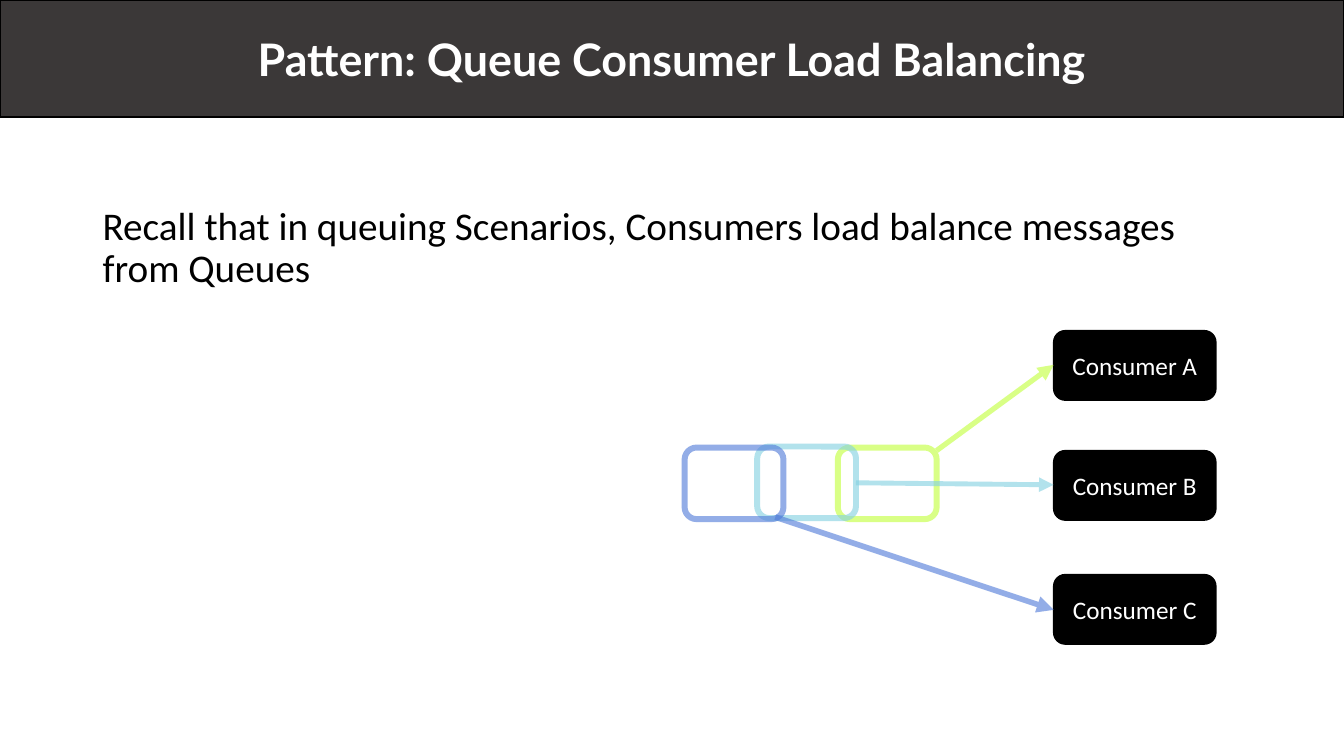
"""Build a slide on load balancing between the consumers of a queue."""
from dataclasses import dataclass

import pptx
import pptx.dml.color
import pptx.enum.shapes
import pptx.enum.text
import pptx.oxml
import pptx.oxml.ns
import pptx.util
from pptx.util import Inches


@dataclass(frozen=True)
class Theme:
    black: str = "000000"
    white: str = "FFFFFF"
    banner: str = "3B3838"
    lime: str = "C2FF3D"
    aqua: str = "84D1E1"
    blue: str = "527CD9"
    opacity: int = 62000
    title_font: str = "Lato"
    body_font: str = "Calibri"
    title_size: int = 32
    body_size: int = 28
    label_size: int = 18


def write(box, text, size, font, color, bold=False):
    para = box.text_frame.paragraphs[0]
    span = para.add_run()
    span.text = text
    span.font.size = pptx.util.Pt(size)
    span.font.name = font
    span.font.bold = bold
    span.font.color.rgb = pptx.dml.color.RGBColor.from_string(color)
    return para


def outline(item, color, width, opacity=None):
    item.line.color.rgb = pptx.dml.color.RGBColor.from_string(color)
    item.line.width = pptx.util.Pt(width)
    if opacity:
        fill_color = item.line._get_or_add_ln().find(".//" + pptx.oxml.ns.qn("a:srgbClr"))
        pptx.oxml.ns.qn("a:alpha")
        alpha = pptx.oxml.parse_xml(f'<a:alpha {pptx.oxml.ns.nsdecls("a")} val="{opacity}"/>')
        fill_color.append(alpha)


theme = Theme()
rounded = pptx.enum.shapes.MSO_SHAPE.ROUNDED_RECTANGLE
center = pptx.enum.text.PP_ALIGN.CENTER
middle = pptx.enum.text.MSO_ANCHOR.MIDDLE

deck = pptx.Presentation()
deck.slide_width = Inches(13.33)
deck.slide_height = Inches(7.5)
page = deck.slides.add_slide(deck.slide_layouts[5])

title = page.shapes.title
title.left, title.top = Inches(0), Inches(0)
title.width, title.height = deck.slide_width, Inches(1.16)
title.fill.solid()
title.fill.fore_color.rgb = pptx.dml.color.RGBColor.from_string(theme.banner)
outline(title, theme.black, 1)
title.text_frame.vertical_anchor = middle
write(title, "Pattern: Queue Consumer Load Balancing", theme.title_size,
      theme.title_font, theme.white, bold=True).alignment = center

body = page.shapes.add_textbox(Inches(0.92), Inches(2), Inches(11.5), Inches(4.76))
body.text_frame.word_wrap = True
write(body, "Recall that in queuing Scenarios, Consumers load balance messages from Queues",
      theme.body_size, theme.body_font, theme.black).line_spacing = 0.9

for name, top in (("Consumer A", 3.28), ("Consumer B", 4.47), ("Consumer C", 5.7)):
    consumer = page.shapes.add_shape(rounded, Inches(10.45), Inches(top), Inches(1.61), Inches(0.69))
    consumer.shadow.inherit = False
    consumer.fill.solid()
    consumer.fill.fore_color.rgb = pptx.dml.color.RGBColor.from_string(theme.black)
    outline(consumer, theme.black, 1)
    consumer.text_frame.vertical_anchor = middle
    write(consumer, name, theme.label_size, theme.body_font, theme.white).alignment = center

for left, top, color in ((8.31, 4.44, theme.lime), (7.51, 4.43, theme.aqua), (6.79, 4.44, theme.blue)):
    message = page.shapes.add_shape(rounded, Inches(left), Inches(top), Inches(0.98), Inches(0.71))
    message.shadow.inherit = False
    message.fill.background()
    outline(message, color, 4.25, theme.opacity)

for start_x, start_y, end_y, color, width in (
    (9.29, 4.47, 3.62, theme.lime, 3.75),
    (8.49, 4.79, 4.81, theme.aqua, 3.5),
    (7.69, 5.13, 6.05, theme.blue, 4),
):
    arrow = page.shapes.add_connector(
        pptx.enum.shapes.MSO_CONNECTOR.STRAIGHT,
        Inches(start_x), Inches(start_y), Inches(10.45), Inches(end_y))
    outline(arrow, color, width, theme.opacity)
    arrow.line._get_or_add_ln().append(
        pptx.oxml.parse_xml(f'<a:tailEnd {pptx.oxml.ns.nsdecls("a")} type="triangle"/>'))
    arrow._element.spPr.append(
        pptx.oxml.parse_xml(f'<a:effectLst {pptx.oxml.ns.nsdecls("a")}/>'))

deck.save("out.pptx")
